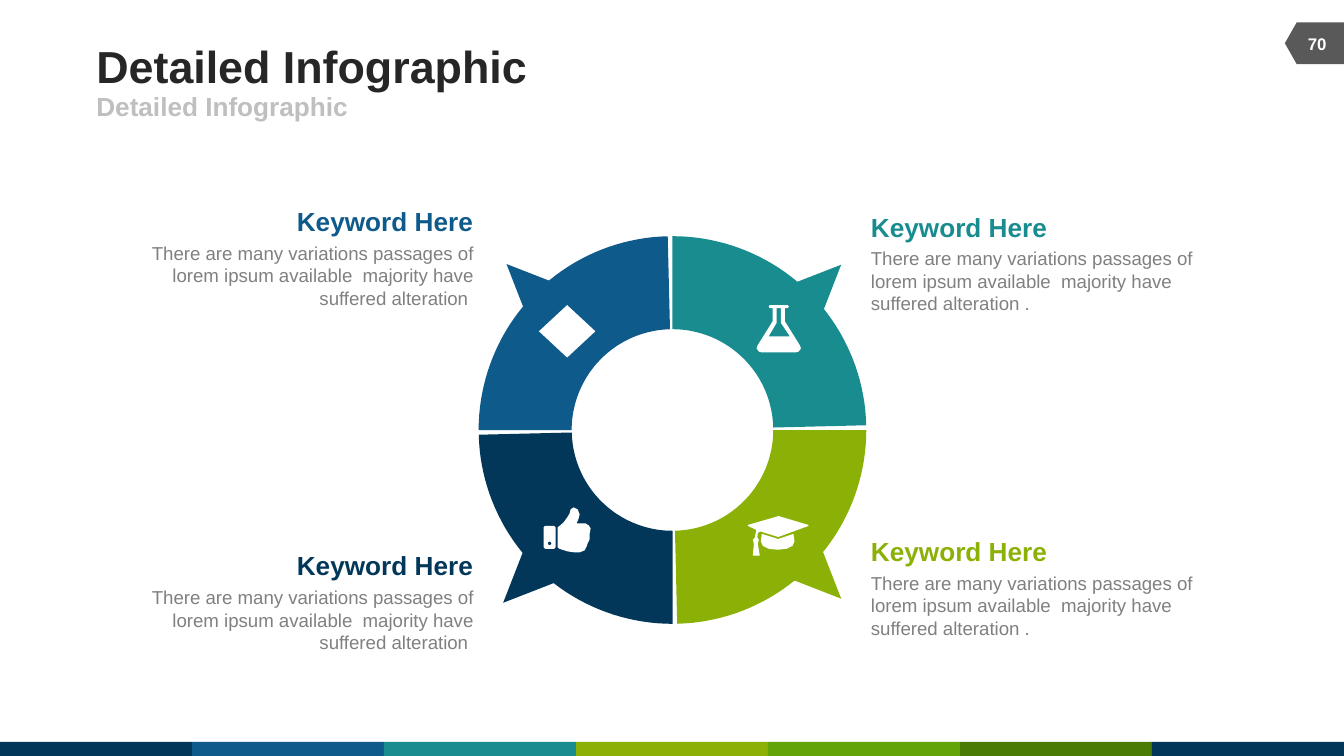
import math

import pptx
import pptx.dml.color
import pptx.enum.shapes
import pptx.enum.text
import pptx.util

RGBColor = pptx.dml.color.RGBColor
Shape = pptx.enum.shapes.MSO_SHAPE
Align = pptx.enum.text.PP_ALIGN
Anchor = pptx.enum.text.MSO_ANCHOR

NAVY = RGBColor(0x02, 0x37, 0x59)
BLUE = RGBColor(0x0E, 0x5A, 0x8B)
TEAL = RGBColor(0x19, 0x8C, 0x8F)
LIME = RGBColor(0x8B, 0xB1, 0x06)
GREEN = RGBColor(0x63, 0xA4, 0x06)
FOREST = RGBColor(0x4A, 0x7B, 0x04)
WHITE = RGBColor(0xFF, 0xFF, 0xFF)
INK = RGBColor(0x26, 0x26, 0x26)
SILVER = RGBColor(0xBF, 0xBF, 0xBF)
GREY = RGBColor(0x80, 0x80, 0x80)
CHARCOAL = RGBColor(0x59, 0x59, 0x59)

CELL = pptx.util.Inches(0.1)
COLUMNS, ROWS = 100, 56.25

STRIPES = [NAVY, BLUE, TEAL, LIME, GREEN, FOREST, NAVY]
SEGMENTS = [
    (0, LIME, (11.1, 11.1)),
    (90, NAVY, (-11.15, 11.4)),
    (180, BLUE, (-10.9, -10.9)),
    (270, TEAL, (11.1, -10.85)),
]
SEGMENT_SWEEP = 88.6
INNER_SHARE = 0.52

PASSAGE = "There are many variations passages of lorem ipsum available  majority have suffered alteration "
KEYWORDS = [
    ((10.3, 15.3, 24.9, 7.7), BLUE, Align.RIGHT, PASSAGE),
    ((10.3, 40.9, 24.9, 7.7), NAVY, Align.RIGHT, PASSAGE),
    ((64.8, 15.7, 24.9, 7.7), TEAL, Align.LEFT, PASSAGE + "."),
    ((64.8, 39.85, 24.9, 7.7), LIME, Align.LEFT, PASSAGE + "."),
]

FLASK = [
    [(12, 1.5), (13, 0), (31, 0), (32, 1.5), (31, 3), (28, 3), (28, 16), (43, 40), (44, 43),
     (42, 46), (39, 47), (5, 47), (2, 46), (0, 43), (1, 40), (16, 16), (16, 3), (13, 3)],
    [(12, 31), (20, 17.5), (20, 3), (24, 3), (24, 17.5), (33, 31)],
]
GRADUATION_CAP = [
    [(0, 9), (31, 0), (61, 9), (61, 10), (31, 21), (30, 21), (12.5, 15.5), (10, 17), (9.5, 21.5),
     (11, 24), (10, 28), (12, 40), (5, 40), (6, 28), (5, 24), (7, 21.5), (8.5, 14), (0, 10)],
    [(47, 25.5), (46, 18), (31, 23), (30, 23), (14, 18), (13, 25.5),
     (15, 30), (21, 33), (30, 34), (39, 33), (45, 30)],
]
THUMB = [
    [(0, 20), (1.5, 18.5), (10.5, 18.5), (12, 20), (12, 40), (10.5, 41.5), (1.5, 41.5), (0, 40)],
    [(4.2, 36), (4.7, 37.3), (6, 37.8), (7.3, 37.3), (7.8, 36), (7.3, 34.7), (6, 34.2), (4.7, 34.7)],
    [(14, 20), (16, 18.5), (20, 15), (24, 9.5), (26, 6), (27, 2), (30, 0), (34, 2),
     (36, 7), (35, 11), (33, 16), (42, 16), (45, 18), (47, 21), (46, 26), (46, 32),
     (44, 36), (43, 39), (41, 43), (36, 45), (31, 45), (24, 44), (16, 41.5), (14, 40)],
]
ICONS = [
    ((56.3, 22.7, 3.3, 3.5), 44, FLASK),
    ((55.65, 38.4, 4.5, 3), 61, GRADUATION_CAP),
    ((40.45, 37.75, 3.5, 3.4), 47, THUMB),
]


def cells(box):
    return [round(CELL * length) for length in box]


def paint(shape, colour):
    shape.shadow.inherit = False
    shape.fill.solid()
    shape.fill.fore_color.rgb = colour
    shape.line.fill.background()


def add_preset(page, kind, box, colour, rotation=0):
    shape = page.shapes.add_shape(kind, *cells(box))
    shape.rotation = rotation
    paint(shape, colour)


def add_outline(page, contours, colour):
    scaled = [[(x * CELL, y * CELL) for x, y in contour] for contour in contours]
    builder = page.shapes.build_freeform(*scaled[0][0])
    for index, contour in enumerate(scaled):
        if index:
            builder.move_to(*contour[0])
        builder.add_line_segments(contour[1:], close=True)
    paint(builder.convert_to_shape(), colour)


def add_text(page, box, text, size, colour, bold=False, align=Align.LEFT,
             anchor=Anchor.MIDDLE, wrap=True):
    frame = page.shapes.add_textbox(*cells(box)).text_frame
    frame.margin_left = frame.margin_right = frame.margin_top = frame.margin_bottom = 0
    frame.word_wrap = wrap
    frame.vertical_anchor = anchor
    para = frame.paragraphs[0]
    para.alignment = align
    span = para.add_run()
    span.text = text
    span.font.name = "Arial"
    span.font.size = pptx.util.Pt(size)
    span.font.bold = bold
    span.font.color.rgb = colour


def draw_footer(page, box):
    left, top, width, height = box
    stripe = width / len(STRIPES)
    for index, colour in enumerate(STRIPES):
        add_preset(page, Shape.RECTANGLE, (left + index * stripe, top, stripe, height), colour)


def draw_page_number(page, box):
    left, top, width, height = box
    tag = (left + (width - height) / 2, top - (width - height) / 2, height, width)
    add_preset(page, Shape.FLOWCHART_OFFPAGE_CONNECTOR, tag, CHARCOAL, 90)
    add_text(page, (left + 0.4, top, width - 0.4, height), "70", 9, WHITE, True, Align.CENTER)


def draw_heading(page, box):
    left, top, width, height = box
    title = height * 0.64
    add_text(page, (left, top, width, title), "Detailed Infographic", 24, INK, True)
    add_text(page, (left, top + title, width, height - title), "Detailed Infographic", 14, SILVER, True)


def draw_ring(page, box):
    left, top, width, height = box
    centre_x, centre_y, radius = left + width / 2, top + height / 2, width / 2

    def arc(start, reach):
        angles = [math.radians(start + SEGMENT_SWEEP * step / 40) for step in range(41)]
        return [(centre_x + reach * math.cos(a), centre_y + reach * math.sin(a)) for a in angles]

    for start, colour, (across, down) in SEGMENTS:
        band = arc(start, radius) + arc(start, radius * INNER_SHARE)[::-1]
        add_outline(page, [band], colour)
        pointer = (centre_x + across - 1.8, centre_y + down - 2.05, 3.6, 4.1)
        add_preset(page, Shape.ISOSCELES_TRIANGLE, pointer, colour, (start + 135) % 360)


def draw_icon(page, box, grid_width, contours):
    left, top, width, height = box
    unit = width / grid_width
    placed = [[(left + x * unit, top + y * unit) for x, y in contour] for contour in contours]
    add_outline(page, placed, WHITE)


def draw_keyword(page, box, colour, align, passage):
    left, top, width, height = box
    label = 13.2
    label_left = left + width - label if align == Align.RIGHT else left
    add_text(page, (label_left, top, label, 2.4), "Keyword Here", 14, colour, True, align,
             Anchor.TOP, False)
    add_text(page, (left, top + 2.7, width, height - 2.7), passage, 10, GREY, False, align, Anchor.TOP)


def main():
    deck = pptx.Presentation()
    deck.slide_width, deck.slide_height = cells((COLUMNS, ROWS))
    page = deck.slides.add_slide(deck.slide_layouts[6])
    draw_footer(page, (0, 55.2, COLUMNS, ROWS - 55.2))
    draw_page_number(page, (95.6, 1.67, 4.4, 3.1))
    draw_heading(page, (7.17, 2.9, 61.7, 6.1))
    draw_ring(page, (35.62, 17.58, 28.84, 28.84))
    for keyword in KEYWORDS:
        draw_keyword(page, *keyword)
    add_preset(page, Shape.DIAMOND, (40.1, 22.7, 4.2, 3.9), WHITE)
    for icon in ICONS:
        draw_icon(page, *icon)
    deck.save("out.pptx")


if __name__ == "__main__":
    main()
